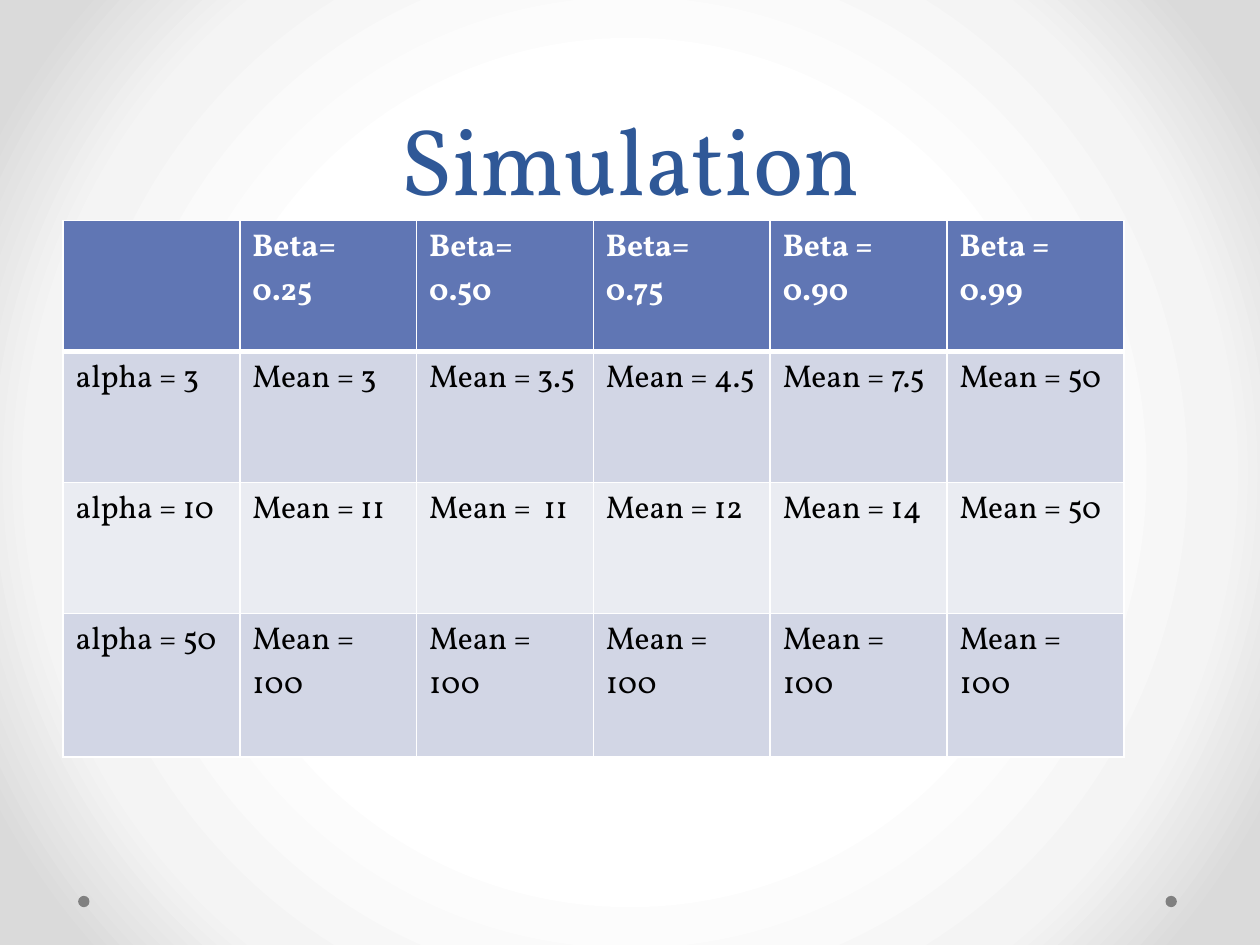
from lxml import etree
from pptx import Presentation
from pptx import util as u
from pptx.dml.color import RGBColor
from pptx.enum import shapes, text
from pptx.oxml import parse_xml
from pptx.oxml.ns import nsdecls, qn

HUES = {"title": "2F5897", "head": "6076B4", "odd": "D2D6E5", "even": "EAECF2",
        "line": "FFFFFF", "ink": "000000", "dot": "808080"}
GLOW = {50: "FFFFFF", 76: "F4F4F4", 92: "DADADA"}
FACE = "Vollkorn"
ROWS = [
    ["", "Beta=  0.25", "Beta=  0.50", "Beta=  0.75", "Beta = 0.90", "Beta = 0.99"],
    ["alpha = 3", "Mean = 3", "Mean = 3.5", "Mean = 4.5", "Mean = 7.5", "Mean = 50"],
    ["alpha = 10", "Mean = 11", "Mean =  11", "Mean = 12", "Mean = 14", "Mean = 50"],
    ["alpha = 50"] + ["Mean = 100"] * 5,
]
BANDS = ["head", "odd", "even", "odd"]


def style(font, hue, **look):
    for key, val in {"name": FACE, **look}.items():
        setattr(font, key, val)
    font.color.rgb = RGBColor.from_string(HUES[hue])


def edge(cell, side, wide, spot):
    line = etree.Element(qn(f"a:ln{side}"), w=str(u.Pt(wide)))
    fill = etree.SubElement(line, qn("a:solidFill"))
    etree.SubElement(fill, qn("a:srgbClr"), val=HUES["line"])
    cell._tc.get_or_add_tcPr().insert(spot, line)


deck = Presentation()
deck.slide_width, deck.slide_height = u.Inches(10), u.Inches(7.5)
wide, high = deck.slide_width, deck.slide_height
slide = deck.slides.add_slide(deck.slide_layouts[5])

stops = "".join(f'<a:gs pos="{pos * 1000}"><a:srgbClr val="{hue}"/></a:gs>'
                for pos, hue in GLOW.items())
slide.element.cSld.insert(0, parse_xml(
    f'<p:bg {nsdecls("p", "a")}><p:bgPr><a:gradFill rotWithShape="1"><a:gsLst>{stops}</a:gsLst>'
    '<a:path path="circle"><a:fillToRect l="50000" t="50000" r="50000" b="50000"/></a:path>'
    '</a:gradFill><a:effectLst/></p:bgPr></p:bg>'))

size = u.Inches(0.09)
for left in (0.925, 0.062):
    dot = slide.shapes.add_shape(shapes.MSO_SHAPE.OVAL, int(wide * left), int(high * 0.948), size, size)
    dot.shadow.inherit = False
    dot.fill.solid()
    dot.fill.fore_color.rgb = RGBColor.from_string(HUES["dot"])
    dot.line.fill.background()

title = slide.shapes.title
top = high * 7 // 30
for key, val in {"left": wide // 20, "top": 0, "width": wide * 9 // 10, "height": top}.items():
    setattr(title, key, val)
frame = title.text_frame
frame.text = "Simulation"
for key, val in {"auto_size": text.MSO_AUTO_SIZE.NONE, "word_wrap": True,
                 "vertical_anchor": text.MSO_ANCHOR.BOTTOM}.items():
    setattr(frame, key, val)
para = frame.paragraphs[0]
para.alignment = text.PP_ALIGN.CENTER
para.line_spacing = u.Pt(58)
style(para.runs[0].font, "title", size=u.Pt(54))

tall = u.Inches(1.04)
grid = slide.shapes.add_table(len(ROWS), len(ROWS[0]), wide // 20, top,
                              int(wide * 0.842), tall * len(ROWS)).table
for row in grid.rows:
    row.height = tall
grid.rows[len(ROWS) - 1].height = u.Inches(1.14)

for r, (words, band) in enumerate(zip(ROWS, BANDS)):
    for c, word in enumerate(words):
        cell = grid.cell(r, c)
        cell.fill.solid()
        cell.fill.fore_color.rgb = RGBColor.from_string(HUES[band])
        cell.text = word
        style(cell.text_frame.paragraphs[0].font, "ink" if r else "line",
              size=u.Pt(18), bold=r == 0)
        for run in cell.text_frame.paragraphs[0].runs:
            style(run.font, "ink" if r else "line", size=u.Pt(18), bold=r == 0)
        for spot, side in enumerate("LRTB"):
            thick = (r, side) in ((0, "B"), (1, "T"))
            edge(cell, side, 3 if thick else 1, spot)

deck.save("out.pptx")
